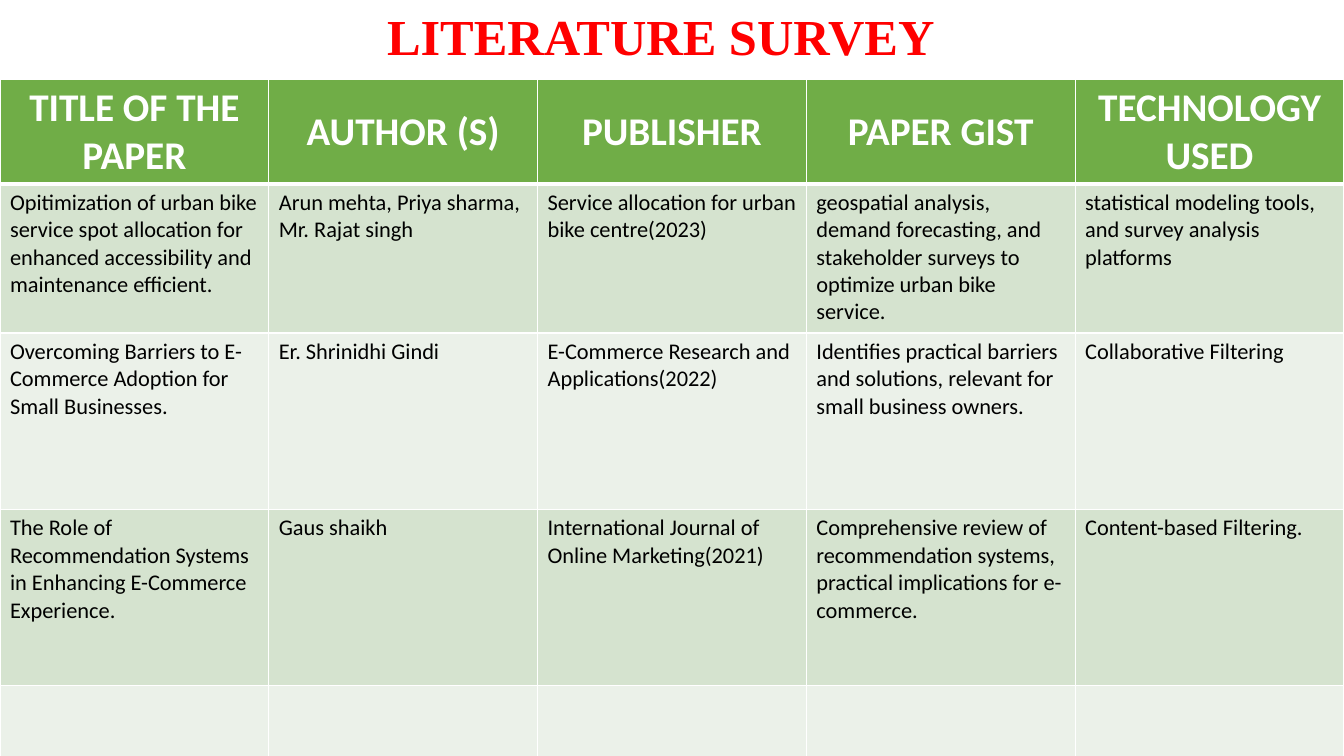
import pptx
import pptx.util
import pptx.dml.color
import pptx.enum.text
import pptx.oxml.ns
import lxml.etree

Inches = pptx.util.Inches
Pt = pptx.util.Pt
RGBColor = pptx.dml.color.RGBColor
PP_ALIGN = pptx.enum.text.PP_ALIGN
MSO_ANCHOR = pptx.enum.text.MSO_ANCHOR
qn = pptx.oxml.ns.qn

RED = RGBColor(0xFF, 0x00, 0x00)
WHITE = RGBColor(0xFF, 0xFF, 0xFF)
BLACK = RGBColor(0x00, 0x00, 0x00)
GREEN = RGBColor(0x70, 0xAD, 0x47)
BANDS = [RGBColor(0xEB, 0xF1, 0xE9), RGBColor(0xD5, 0xE3, 0xCF)]

ROWS = [
    ["TITLE OF THE PAPER", "AUTHOR (S)", "PUBLISHER", "PAPER GIST", "TECHNOLOGY USED"],
    ["Opitimization of urban bike service spot allocation for enhanced accessibility and maintenance efficient.",
     "Arun mehta, Priya sharma, Mr. Rajat singh",
     "Service allocation for urban bike centre(2023)",
     "geospatial analysis, demand forecasting, and stakeholder surveys to optimize urban bike service.",
     "statistical modeling tools, and survey analysis platforms"],
    ["Overcoming Barriers to E-Commerce Adoption for Small Businesses.",
     "Er. Shrinidhi Gindi",
     "E-Commerce Research and Applications(2022)",
     "Identifies practical barriers and solutions, relevant for small business owners.",
     "Collaborative Filtering"],
    ["The Role of Recommendation Systems in Enhancing E-Commerce Experience.",
     "Gaus shaikh",
     "International Journal of Online Marketing(2021)",
     "Comprehensive review of recommendation systems, practical implications for e-commerce.",
     "Content-based Filtering."],
    [""] * 5,
]
HEIGHTS = [1.03, 1.48, 1.75, 1.75, 0.7]


def add_run(p, text, font, size, color, bold):
    r = p.add_run()
    r.text = text
    r.font.name = font
    r.font.size = Pt(size)
    r.font.color.rgb = color
    r.font.bold = bold


def set_border(cell, side, width):
    ln = lxml.etree.SubElement(cell._tc.get_or_add_tcPr(), qn("a:" + side), w=str(Pt(width)))
    fill = lxml.etree.SubElement(ln, qn("a:solidFill"))
    lxml.etree.SubElement(fill, qn("a:srgbClr"), val=str(WHITE))


prs = pptx.Presentation()
prs.slide_width = Inches(13.33)
prs.slide_height = Inches(7.5)
s = prs.slides.add_slide(prs.slide_layouts[5])

title = s.shapes.title
title.left, title.top = Inches(3.71), Inches(0)
title.width, title.height = Inches(5.69), Inches(0.71)
tf = title.text_frame
tf.word_wrap = False
tf.auto_size = pptx.enum.text.MSO_AUTO_SIZE.SHAPE_TO_FIT_TEXT
tf.vertical_anchor = MSO_ANCHOR.TOP
p = tf.paragraphs[0]
p.alignment = PP_ALIGN.CENTER
add_run(p, "LITERATURE SURVEY", "Times New Roman", 36, RED, True)

table = s.shapes.add_table(len(ROWS), len(ROWS[0]), Inches(0), Inches(0.79),
                           prs.slide_width, Inches(sum(HEIGHTS))).table

for i, texts in enumerate(ROWS):
    table.rows[i].height = Inches(HEIGHTS[i])
    header = i == 0
    for j, text in enumerate(texts):
        cell = table.cell(i, j)
        set_border(cell, "lnL", 1)
        set_border(cell, "lnR", 1)
        set_border(cell, "lnT", 3 if i == 1 else 1)
        set_border(cell, "lnB", 3 if header else 1)
        cell.fill.solid()
        cell.fill.fore_color.rgb = GREEN if header else BANDS[i % 2]
        cell.vertical_anchor = MSO_ANCHOR.MIDDLE if header else MSO_ANCHOR.TOP
        p = cell.text_frame.paragraphs[0]
        p.alignment = PP_ALIGN.CENTER if header else PP_ALIGN.LEFT
        if header:
            add_run(p, text, "Calibri", 28, WHITE, True)
        elif text:
            add_run(p, text, "Calibri", 16, BLACK, False)

prs.save("out.pptx")
